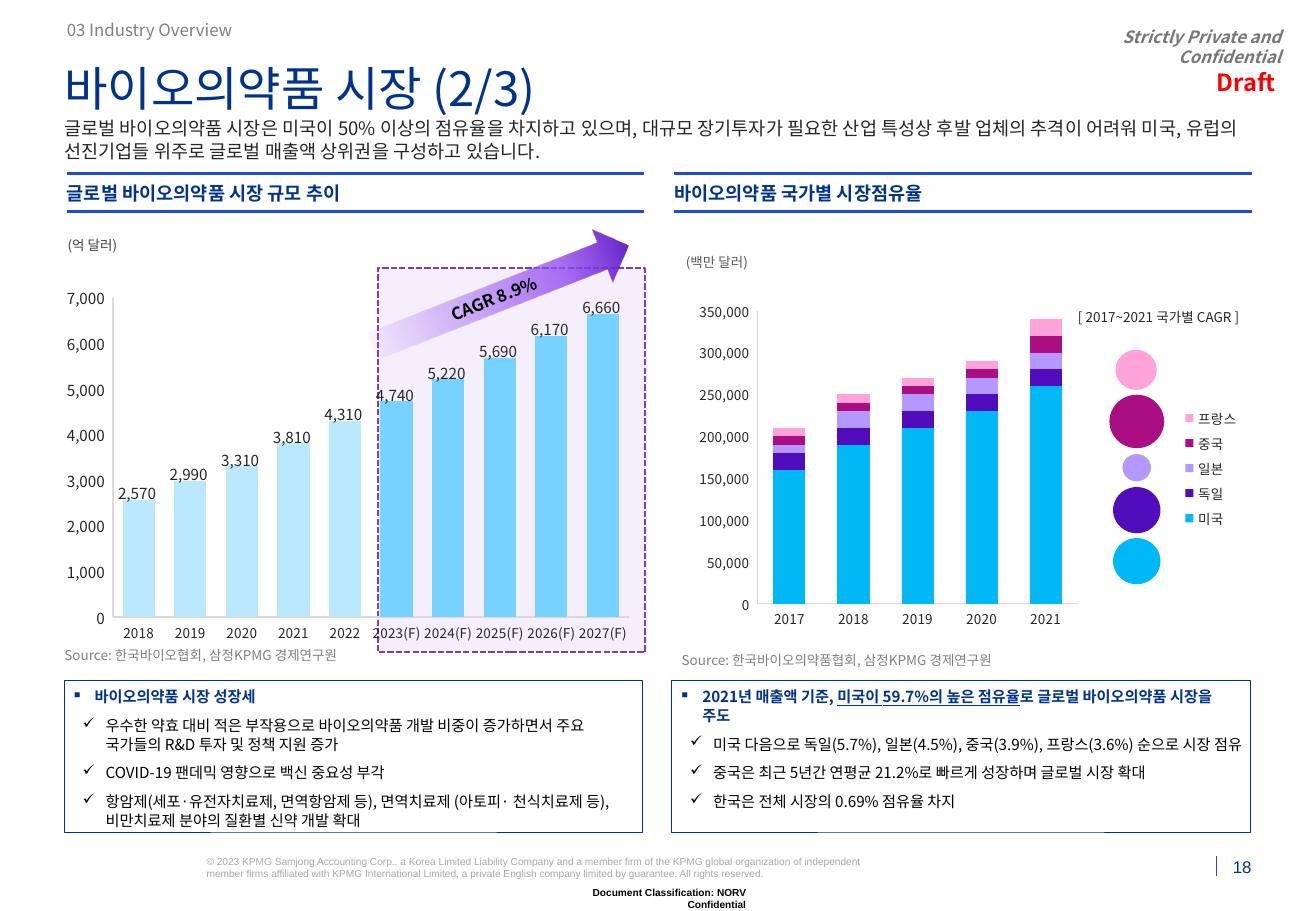
from lxml import etree
from pptx import Presentation
from pptx import util as u
from pptx.chart.data import CategoryChartData
from pptx.dml.color import RGBColor
from pptx.enum import chart as charts, dml, shapes, text
from pptx.oxml import parse_xml
from pptx.oxml.ns import nsdecls, qn

PX = 9144  # 100 px to the inch
KOREAN = "Noto Sans CJK KR"
NUMBER = r"#,##0_);[Red]\(#,##0\)"
COLORS = {
    "navy": "00338D", "blue": "1E49E2", "red": "FF0000", "black": "000000",
    "ink": "262626", "dark": "404040", "slate": "595959", "gray": "808080",
    "private": "747678", "pale": "A6A6A6", "axis": "D9D9D9",
    "lilac": "F5EFFD", "dash": "743DC9", "violet": "954EEF",
    "actual": "BAE8FF", "forecast": "76D2FF", "us": "00B8F5",
    "germany": "510DBC", "japan": "B497FF", "china": "AB0D82", "france": "FFA3DA",
}
ALIGN = {"l": text.PP_ALIGN.LEFT, "c": text.PP_ALIGN.CENTER, "r": text.PP_ALIGN.RIGHT}
ANCHOR = {"t": text.MSO_ANCHOR.TOP, "m": text.MSO_ANCHOR.MIDDLE, "b": text.MSO_ANCHOR.BOTTOM}


def px(*lengths):
    return [u.Emu(length * PX) for length in lengths]


def rgb(name):
    return RGBColor.from_string(COLORS[name])


def set_font(font, size, color, face=KOREAN, bold=None, italic=None, underline=None):
    font.size, font.bold, font.italic, font.underline = u.Pt(size), bold, italic, underline
    font.color.rgb = rgb(color)
    font.name = face
    latin = font._element.find(qn("a:latin"))
    latin.addnext(parse_xml(f'<a:ea {nsdecls("a")} typeface="{face}"/>'))


def write(shape, paragraphs, size=8, color="ink", face=KOREAN, align="l", anchor="t",
          wrap=True, inset=0, space=0, **style):
    """Each paragraph is a string, or a dict with runs, bullet, indent and style."""
    frame = shape.text_frame
    frame.word_wrap, frame.vertical_anchor = wrap, ANCHOR[anchor]
    frame.margin_left = frame.margin_top = frame.margin_right = frame.margin_bottom = inset * PX
    for index, item in enumerate(paragraphs):
        item = {"runs": [(item, {})]} if isinstance(item, str) else item
        paragraph = frame.add_paragraph() if index else frame.paragraphs[0]
        paragraph.alignment = ALIGN[align]
        if face == KOREAN:
            paragraph.line_spacing = u.Pt(round(size * 1.22, 1))
        if index:
            paragraph.space_before = u.Pt(space)
        if "bullet" in item:
            properties = paragraph._p.get_or_add_pPr()
            properties.set("marL", str(item["indent"] * PX))
            properties.set("indent", str(-19 * PX))
            etree.SubElement(properties, qn("a:buChar")).set("char", item["bullet"])
        for words, changes in item["runs"]:
            run = paragraph.add_run()
            run.text = words
            options = {"color": color, **style, **item.get("style", {}), **changes}
            set_font(run.font, size, face=face, **options)


def add_text(slide, box, words, **style):
    write(slide.shapes.add_textbox(*px(*box)), [words], **style)


def add_shape(slide, kind, box, fill=None, line=None, width=0.5):
    shape = slide.shapes.add_shape(kind, *px(*box))
    shape.shadow.inherit = False
    if fill:
        shape.fill.solid()
        shape.fill.fore_color.rgb = rgb(fill)
    else:
        shape.fill.background()
    if line:
        shape.line.color.rgb, shape.line.width = rgb(line), u.Pt(width)
    else:
        shape.line.fill.background()
    return shape


def add_line(slide, start, end, width):
    line = slide.shapes.add_connector(shapes.MSO_CONNECTOR.STRAIGHT, *px(*start, *end))
    line.line.color.rgb, line.line.width = rgb("blue"), u.Pt(width)
    etree.SubElement(line._element.spPr, qn("a:effectLst"))


def manual_layout(**values):
    parts = "".join(f'<c:{key} val="{value}"/>' for key, value in values.items())
    return parse_xml(f'<c:layout {nsdecls("c")}><c:manualLayout>{parts}</c:manualLayout></c:layout>')


def add_columns(slide, box, categories, series, gap, plot_box, top, step, value_size):
    data = CategoryChartData(number_format=NUMBER)
    data.categories = categories
    for name, values, _ in series:
        data.add_series(name, values)
    chart = slide.shapes.add_chart(charts.XL_CHART_TYPE.COLUMN_STACKED, *px(*box), data).chart
    set_font(chart.font, 10, "black")
    chart.has_title = chart.has_legend = False
    for axis, size in ((chart.category_axis, 8), (chart.value_axis, value_size)):
        axis.has_major_gridlines = False
        axis.major_tick_mark = axis.minor_tick_mark = charts.XL_TICK_MARK.NONE
        axis.format.line.color.rgb, axis.format.line.width = rgb("axis"), u.Pt(0.75)
        set_font(axis.tick_labels.font, size, "ink")
    axis.minimum_scale, axis.maximum_scale, axis.major_unit = 0, top, step
    axis.tick_labels.number_format, axis.tick_labels.number_format_is_linked = NUMBER, False
    plot = chart.plots[0]
    plot.gap_width, plot.overlap, plot.vary_by_categories = gap, 100, False
    for drawn, (_, _, color) in zip(plot.series, series):
        drawn.format.fill.solid()
        drawn.format.fill.fore_color.rgb = rgb(color)
    area = chart._chartSpace.chart.plotArea
    for layout in area.findall(qn("c:layout")):
        area.remove(layout)
    x, y, w, h = plot_box
    area.insert(0, manual_layout(layoutTarget="inner", xMode="edge", yMode="edge",
                                 x=x, y=y, w=w, h=h))
    return chart


# Page header and footer
def page_header(slide, box):
    x, y, w = box
    add_text(slide, (x + 2, y + 18, 938, 13), "03 Industry Overview", size=10, color="gray", anchor="m")
    add_text(slide, (x + 820, y + 31, 181, 15), "Strictly Private and Confidential", size=10,
             color="private", align="r", anchor="m", bold=True, italic=True)
    add_text(slide, (x + 809, y + 55, 188, 24), "Draft", size=14, color="red", align="r",
             anchor="m", bold=True)
    add_text(slide, (x, y + 48, w, 47), "바이오의약품 시장 (2/3)", size=28, color="navy")
    add_text(slide, (x, y + 96, w, 37),
             "글로벌 바이오의약품 시장은 미국이 50% 이상의 점유율을 차지하고 있으며, 대규모 장기투자가 필요한 산업 "
             "특성상 후발 업체의 추격이 어려워 미국, 유럽의 선진기업들 위주로 글로벌 매출액 상위권을 구성하고 있습니다.",
             size=11)


def page_footer(slide, box):
    x, y = box
    add_text(slide, (x + 117, y, 559, 20),
             "© 2023 KPMG Samjong Accounting Corp., a Korea Limited Liability Company and a member "
             "firm of the KPMG global organization of independent member firms affiliated with KPMG "
             "International Limited, a private English company limited by guarantee. All rights reserved.",
             size=6, color="pale", face="Arial")
    add_text(slide, (x + 415, y + 26, 146, 10), "Document Classification: NORV Confidential", size=6,
             color="black", face="Arial", align="r", wrap=False, bold=True)
    add_line(slide, (x + 948, y + 1), (x + 948, y + 17), 0.5)
    add_text(slide, (x + 950, y + 2, 27, 16), "18", size=10, color="navy", face="Arial",
             align="r", anchor="b")


# Parts shared by both panels
def panel_frame(slide, box, title, headline, checks):
    x, y, w, h = box
    add_text(slide, (x + 2, y, w - 1, 31), title, size=11, color="navy", anchor="m", bold=True)
    for line_y in (y, y + 31):
        add_line(slide, (x + 2, line_y), (x + w + 1, line_y), 1.5)
    notes = add_shape(slide, shapes.MSO_SHAPE.RECTANGLE, (x, y + h - 125, w, 125), line="navy")
    first = {"runs": headline, "bullet": "▪", "indent": 19, "style": {"color": "navy", "bold": True}}
    rest = [{"runs": [(words, {})], "bullet": "✓", "indent": 28} for words in checks]
    write(notes, [first, *rest], size=9, color="black", inset=6, space=6)


# Left panel: market size
def market_size_panel(slide, box):
    x, y, w, h = box
    panel_frame(slide, box, "글로벌 바이오의약품 시장 규모 추이", [("바이오의약품 시장 성장세", {})], [
        "우수한 약효 대비 적은 부작용으로 바이오의약품 개발 비중이 증가하면서 주요 국가들의 R&D 투자 및 정책 지원 증가",
        "COVID-19 팬데믹 영향으로 백신 중요성 부각",
        "항암제(세포·유전자치료제, 면역항암제 등), 면역치료제 (아토피· 천식치료제 등), 비만치료제 분야의 질환별 신약 개발 확대"])
    forecast = add_shape(slide, shapes.MSO_SHAPE.RECTANGLE, (x + 258, y + 78, 220, 316),
                         "lilac", "dash", 1.25)
    forecast.line.dash_style = dml.MSO_LINE.SQUARE_DOT
    add_text(slide, (x, y + 378, w, 25), "Source: 한국바이오협회, 삼정KPMG 경제연구원",
             color="gray", anchor="b")
    years = [str(year) if year < 2023 else f"{year}(F)" for year in range(2018, 2028)]
    sizes = [2570, 2990, 3310, 3810, 4310, 4740, 5220, 5690, 6170, 6660]
    chart = add_columns(slide, (x, y + 87, w, 308), years, [("Series 1", sizes, "forecast")], 60,
                        (0.084, 0.05, 0.892, 0.853), 7000, 1000, 9)
    for index in range(len(sizes)):
        point = chart.plots[0].series[0].points[index]
        if index < 5:
            point.format.fill.solid()
            point.format.fill.fore_color.rgb = rgb("actual")
        label = point.data_label
        set_font(label.font, 9, "ink")
        label.position = charts.XL_LABEL_POSITION.INSIDE_END
    for label in chart._chartSpace.iter(qn("c:dLbl")):
        label.find(qn("c:idx")).addnext(manual_layout(x=0, y=-0.06))
    add_text(slide, (x - 9, y + 52, 64, 13), "(억 달러)", color="dark", align="c")

    # Growth arrow
    arrow = add_shape(slide, shapes.MSO_SHAPE.RIGHT_ARROW, (x + 246, y + 77, 226, 47))
    arrow.rotation = 338.6
    stops = "".join(
        f'<a:gs pos="{place}000"><a:srgbClr val="{COLORS[color]}"><a:alpha val="{alpha}000"/></a:srgbClr></a:gs>'
        for place, color, alpha in ((0, "germany", 100), (29, "violet", 80), (98, "violet", 0)))
    no_fill = arrow._element.spPr.find(qn("a:noFill"))
    no_fill.getparent().replace(no_fill, parse_xml(
        f'<a:gradFill {nsdecls("a")} rotWithShape="1"><a:gsLst>{stops}</a:gsLst>'
        '<a:lin ang="10800000" scaled="0"/></a:gradFill>'))
    write(arrow, ["CAGR 8.9%"], size=10, color="black", align="c", anchor="m", bold=True)


# Right panel: share by country
def country_share_panel(slide, box):
    x, y, w, h = box
    panel_frame(slide, box, "바이오의약품 국가별 시장점유율", [
        ("2021년 매출액 기준, ", {}), ("미국이 59.7%의 높은 점유율", {"underline": True}),
        ("로 글로벌 바이오의약품 시장을 주도", {})], [
        "미국 다음으로 독일(5.7%), 일본(4.5%), 중국(3.9%), 프랑스(3.6%) 순으로 시장 점유",
        "중국은 최근 5년간 연평균 21.2%로 빠르게 성장하며 글로벌 시장 확대",
        "한국은 전체 시장의 0.69% 점유율 차지"])
    add_text(slide, (x + 8, y + 382, 469, 25), "Source: 한국바이오의약품협회, 삼정KPMG 경제연구원",
             color="gray", anchor="b")
    countries = [
        ("미국", [160000, 190000, 210000, 230000, 260000], "us"),
        ("독일", [20000, 20000, 20000, 20000, 20000], "germany"),
        ("일본", [10000, 20000, 20000, 20000, 20000], "japan"),
        ("중국", [10000, 10000, 10000, 10000, 20000], "china"),
        ("프랑스", [10000, 10000, 10000, 10000, 20000], "france")]
    chart = add_columns(slide, (x + 8, y + 90, 469, 305), [str(year) for year in range(2017, 2022)],
                        countries, 100, (0.133, 0.075, 0.562, 0.791), 350000, 50000, 8)
    chart.has_legend = True
    chart.legend.position = charts.XL_LEGEND_POSITION.RIGHT
    chart.legend.include_in_layout = False
    set_font(chart.legend.font, 8, "ink")
    add_text(slide, (x + 5, y + 66, 64, 13), "(백만 달러)", color="slate", align="c")

    # Growth bubbles
    add_text(slide, (x + 324, y + 111, 153, 13), "[ 2017~2021 국가별 CAGR ]", align="c")
    bubbles = [("france", 145, 34), ("china", 182, 45), ("japan", 231, 23),
               ("germany", 258, 39), ("us", 300, 39)]
    for color, top, size in bubbles:
        add_shape(slide, shapes.MSO_SHAPE.OVAL, (x + 382 - size // 2, y + top, size, size - 1),
                  color, "pale" if color == "japan" else None, 0.25)


def main():
    presentation = Presentation()
    presentation.slide_width, presentation.slide_height = px(1083, 750)
    slide = presentation.slides.add_slide(presentation.slide_layouts[6])
    page_header(slide, (53, 0, 976))
    market_size_panel(slide, (53, 143, 476, 542))
    country_share_panel(slide, (553, 143, 476, 542))
    page_footer(slide, (53, 704))
    presentation.save("out.pptx")


if __name__ == "__main__":
    main()
